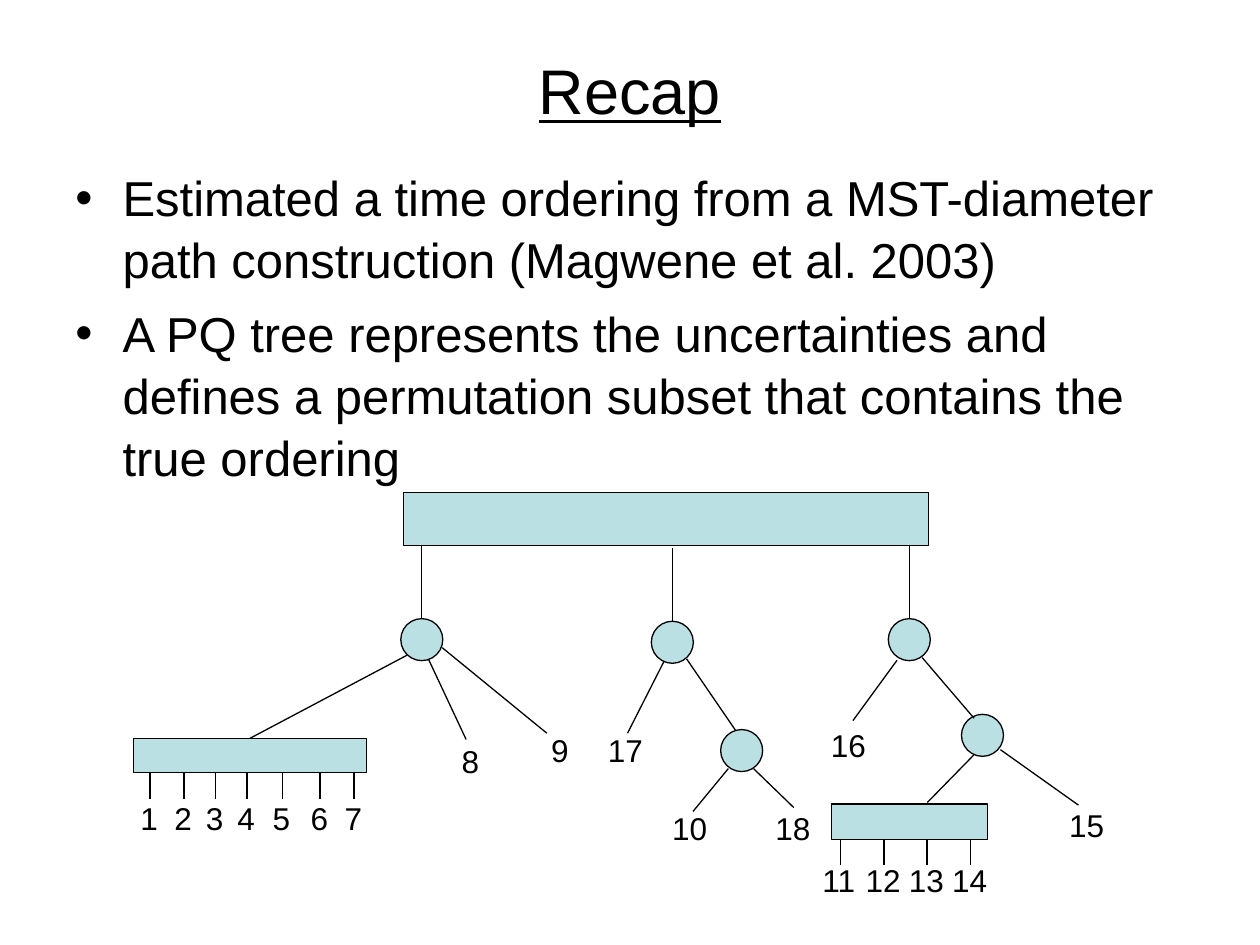
from pptx import Presentation
from pptx.dml.color import RGBColor
from pptx.enum.shapes import MSO_CONNECTOR, MSO_SHAPE
from pptx.enum.text import MSO_ANCHOR, PP_ALIGN
from pptx.oxml.ns import qn
from pptx.util import Pt
from lxml import etree

STRAIGHT = MSO_CONNECTOR.STRAIGHT
RECT, OVAL = MSO_SHAPE.RECTANGLE, MSO_SHAPE.OVAL
MIDDLE, CENTER = MSO_ANCHOR.MIDDLE, PP_ALIGN.CENTER
BLACK, NODE_FILL = "000000", "BBE0E3"
FONT = "Arial"
DIAMETER = 24


def style(line_or_font, colour):
    """Give a line its colour and weight, or a font its colour and face."""
    if hasattr(line_or_font, "width"):
        line_or_font.color.rgb = RGBColor.from_string(colour)
        line_or_font.width = Pt(0.75)
    else:
        line_or_font.color.rgb = RGBColor.from_string(colour)
        line_or_font.name = FONT


def add_edge(x1, y1, x2, y2):
    line = s.shapes.add_connector(STRAIGHT, Pt(x1), Pt(y1), Pt(x2), Pt(y2))
    style(line.line, BLACK)
    etree.SubElement(line._element.spPr, qn("a:effectLst"))
    return line


prs = Presentation()
prs.slide_width, prs.slide_height = Pt(720), Pt(540)
s = prs.slides.add_slide(prs.slide_layouts[5])

# Title
title = s.shapes.title
title.left, title.top, title.width, title.height = Pt(36), Pt(21.6), Pt(648), Pt(59)
title.text_frame.vertical_anchor = MIDDLE
p = title.text_frame.paragraphs[0]
p.alignment = CENTER
r = p.add_run()
r.text = "Recap"
r.font.size = Pt(36)
r.font.underline = True
style(r.font, BLACK)

# Bullets
bullets = [
    "Estimated a time ordering from a MST-diameter path construction "
    "(Magwene et al. 2003)",
    "A PQ tree represents the uncertainties and defines a permutation subset "
    "that contains the true ordering",
]
tf = s.shapes.add_textbox(Pt(36), Pt(90.7), Pt(648), Pt(391.7)).text_frame
tf.word_wrap = True
for i, text in enumerate(bullets):
    p = tf.add_paragraph() if i else tf.paragraphs[0]
    pPr = p._p.get_or_add_pPr()
    pPr.set("marL", str(Pt(27)))
    pPr.set("indent", str(-Pt(27)))
    etree.SubElement(pPr, qn("a:buFont"), typeface=FONT)
    etree.SubElement(pPr, qn("a:buChar"), char="•")
    p.line_spacing = 1.05
    if i:
        p.space_before = Pt(7)
    r = p.add_run()
    r.text = text
    r.font.size = Pt(28)
    style(r.font, BLACK)

# Tree nodes: Q nodes are rectangles, P nodes are circles
q_nodes = [
    (230.4, 281.5, 300.2, 30.2),
    (76.3, 421.9, 133.2, 19.4),
    (475.2, 459.4, 89.3, 20.2),
]
p_nodes = [(229, 353.5), (372.2, 355), (507.6, 353.5), (411.8, 416.9), (549.4, 408.2)]
outlines = [(RECT, *box) for box in q_nodes]
outlines += [(OVAL, x, y, DIAMETER, DIAMETER) for x, y in p_nodes]
nodes = []
for kind, x, y, w, h in outlines:
    sp = s.shapes.add_shape(kind, Pt(x), Pt(y), Pt(w), Pt(h))
    sp.shadow.inherit = False
    sp.fill.solid()
    sp.fill.fore_color.rgb = RGBColor.from_string(NODE_FILL)
    style(sp.line, BLACK)
    nodes.append(sp)

# Edges from the root to its three children
root_bottom = 311.7
for (x, y), child in zip(p_nodes[:3], nodes[3:6]):
    mid = x + DIAMETER / 2
    add_edge(mid, y - 41.8, mid, y).end_connect(child, 0)

# Edges below the circles
add_edge(232.6, 374.4, 142.9, 421.9).end_connect(nodes[1], 0)
for edge in [
    (244.8, 376.6, 266.4, 422.6), (252.7, 370.1, 312.5, 419),
    (379.4, 378, 358.6, 419), (392.4, 376.6, 420.5, 417.6),
    (416.2, 439.2, 396, 463.7), (430.6, 439.2, 453.6, 461.5),
    (512.6, 377.3, 487.4, 411.8), (527, 375.8, 556.6, 410.4),
    (556.6, 431.3, 529.9, 458.6), (571.7, 428.4, 616.3, 460.1),
]:
    add_edge(*edge)

# Leaves: number, centre x, top of label
leaves = [
    (8, 269.2, 420.5), (9, 320.4, 414), (17, 357.8, 414), (10, 394.5, 458.6),
    (18, 453.5, 458.6), (16, 485.2, 411.1), (15, 621.3, 457.2),
]
# Leaves of the Q nodes hang from short ticks
for first, tick_top, label_top, ticks in [
    (1, 442, 452.9, [85.7, 105.1, 123.1, 141.1, 161.3, 182.9, 202.3]),
    (11, 480, 488.2, [480.4 + 24.7 * i for i in range(4)]),
]:
    for number, x in enumerate(ticks, first):
        add_edge(x, tick_top, x, tick_top + 14.4)
        leaves.append((number, x, label_top))

for number, x, top in leaves:
    width = 15 + 10 * len(str(number))
    box = s.shapes.add_textbox(Pt(x - width / 2), Pt(top), Pt(width), Pt(28.8))
    box.text_frame.word_wrap = True
    r = box.text_frame.paragraphs[0].add_run()
    r.text = str(number)
    r.font.size = Pt(18)
    style(r.font, BLACK)

prs.save("out.pptx")
